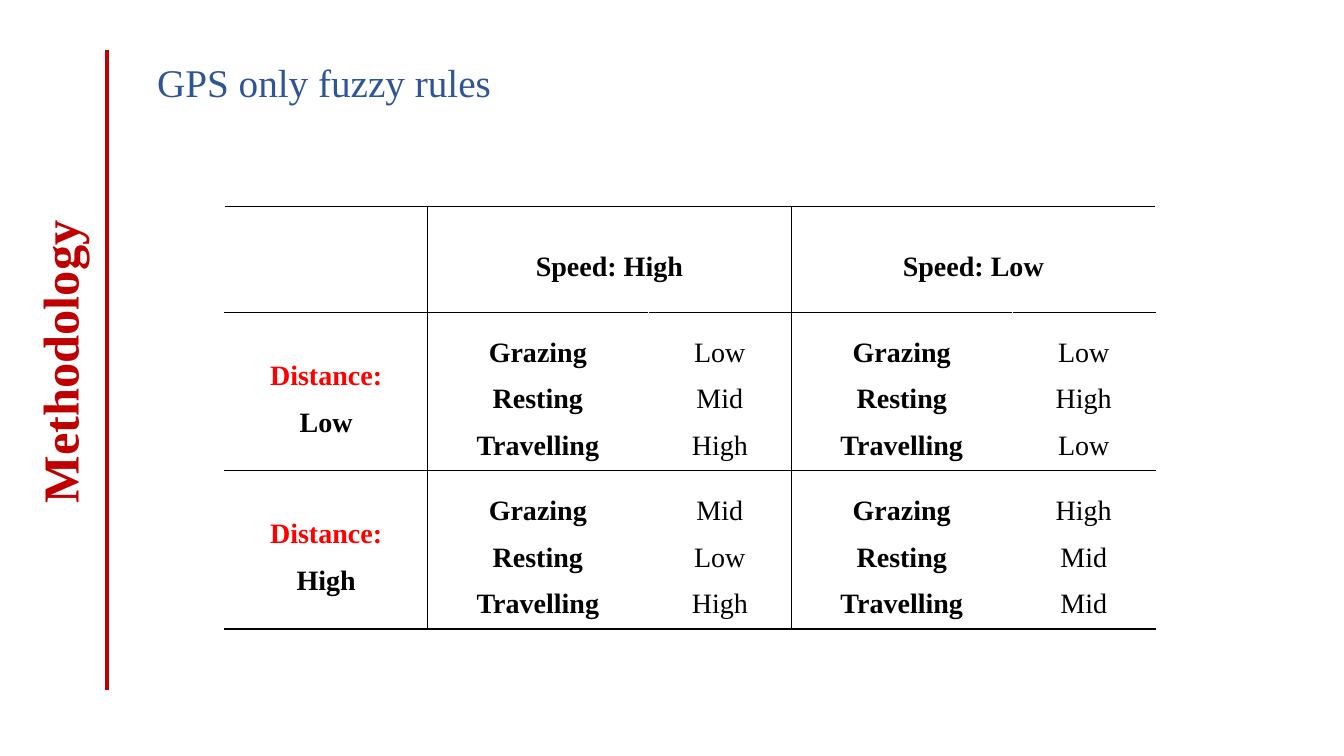
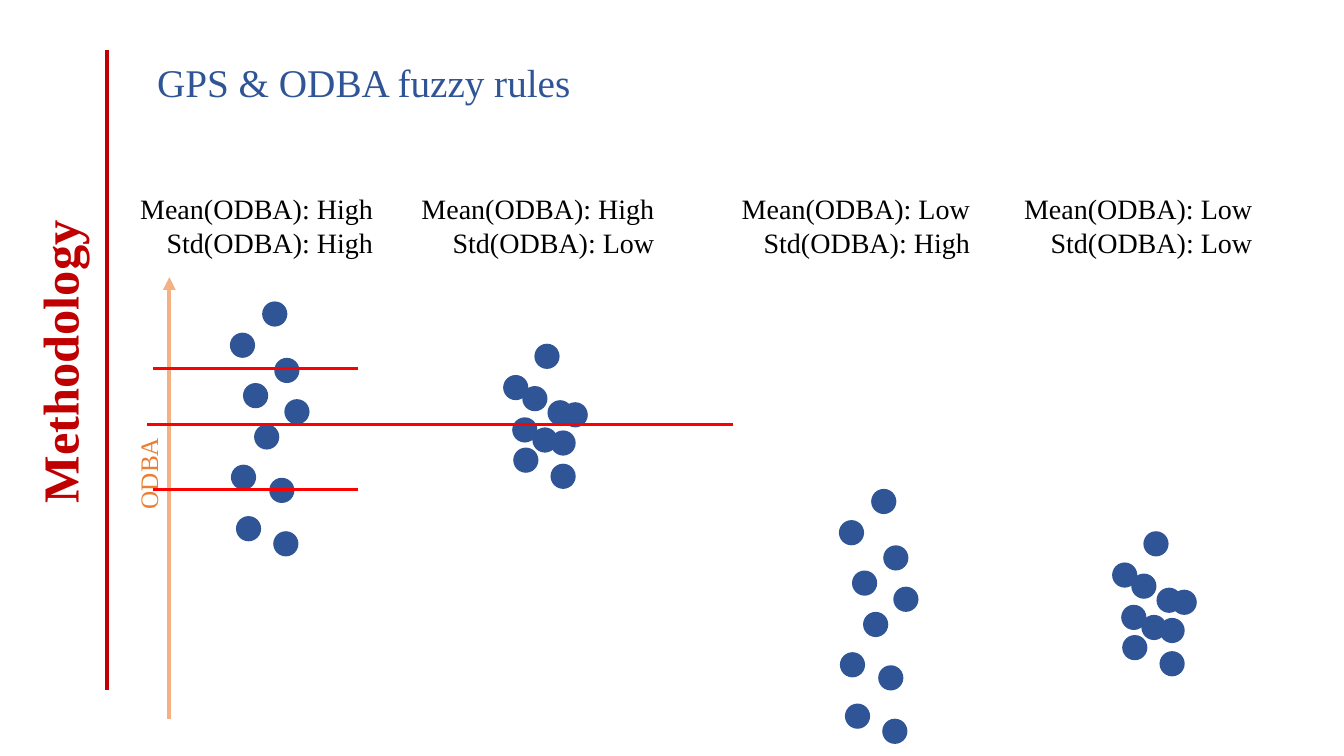
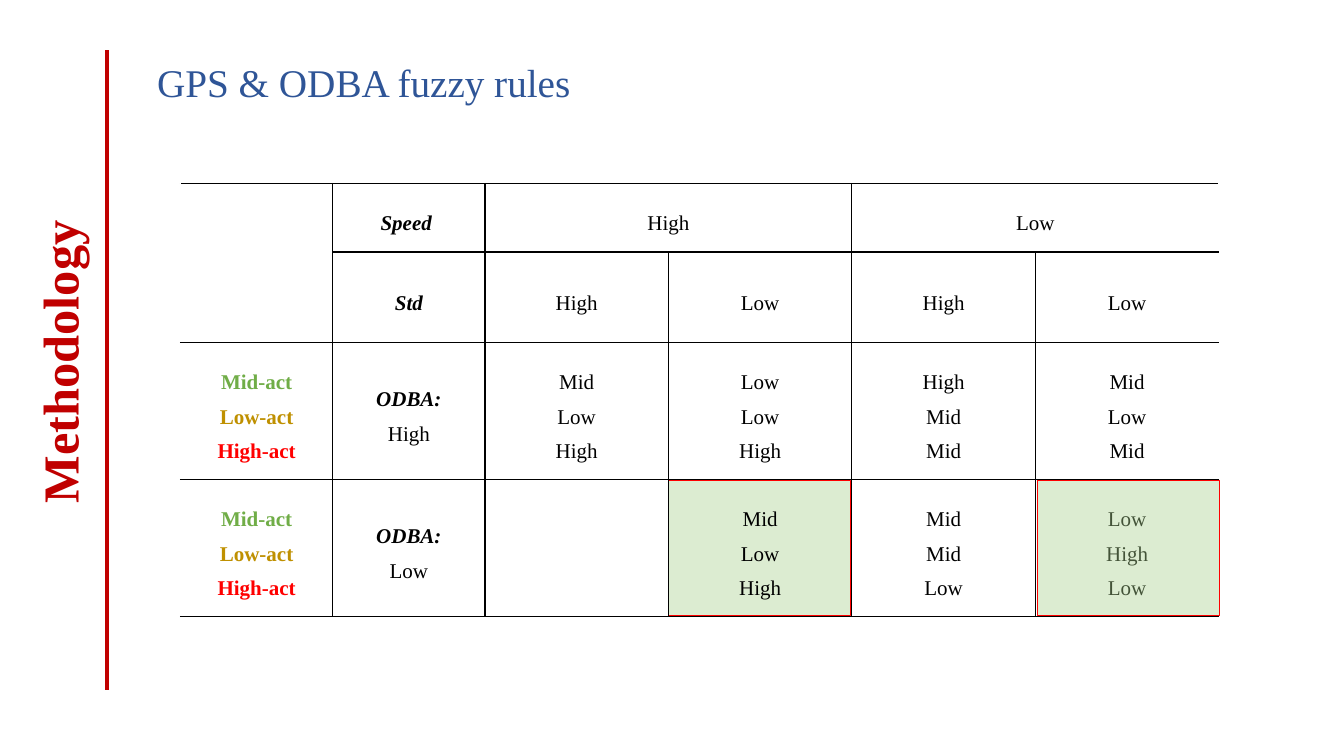
from lxml import etree
from pptx import Presentation
from pptx.dml.color import RGBColor
from pptx.enum.shapes import MSO_CONNECTOR, MSO_SHAPE
from pptx.enum.text import MSO_ANCHOR, PP_ALIGN
from pptx.oxml.ns import qn
from pptx.util import Inches, Pt

STRAIGHT = MSO_CONNECTOR.STRAIGHT
ELLIPSE = MSO_SHAPE.OVAL
RECTANGLE = MSO_SHAPE.RECTANGLE
MIDDLE = MSO_ANCHOR.MIDDLE
LEFT, CENTER, RIGHT = PP_ALIGN.LEFT, PP_ALIGN.CENTER, PP_ALIGN.RIGHT


class Theme:
    font = "Times New Roman"
    section_size = 36
    title_size = 28
    label_size = 20
    axis_size = 18
    small_size = 15
    crimson = "C00000"
    blue = "2F5597"
    red = "FF0000"
    black = "000000"
    white = "FFFFFF"
    axis = "F4B183"
    highlight = "A9D18E"
    styles = {
        "section": (crimson, True, False),
        "title": (blue, False, False),
        "plain": (black, False, False),
        "strong": (black, True, False),
        "label": (black, True, True),
        "axis": ("ED7D31", False, False),
        "mid": ("70AD47", True, False),
        "low": ("BF9000", True, False),
        "high": (red, True, False),
    }


def write(frame, text, styles, size, align=LEFT, spacing=None):
    for index, (line, style) in enumerate(zip(text.split("\n"), styles)):
        paragraph = frame.add_paragraph() if index else frame.paragraphs[0]
        paragraph.text = line
        paragraph.alignment = align
        paragraph.line_spacing = spacing
        color, bold, italic = Theme.styles[style]
        font = paragraph.font
        font.name, font.size = Theme.font, Pt(size)
        font.bold, font.italic = bold, italic
        font.color.rgb = RGBColor.from_string(color)


def add_line(slide, start, end, color, width, arrow=False):
    line = slide.shapes.add_connector(STRAIGHT, *map(Inches, start + end))
    line.line.color.rgb = RGBColor.from_string(color)
    line.line.width = Pt(width)
    properties = line.element.spPr
    if arrow:
        etree.SubElement(properties.find(qn("a:ln")), qn("a:tailEnd"), type="triangle")
    etree.SubElement(properties, qn("a:effectLst"))


deck = Presentation()
deck.slide_width, deck.slide_height = Inches(13.33), Inches(7.5)

for heading in ("GPS only fuzzy rules", "GPS & ODBA fuzzy rules", "GPS & ODBA fuzzy rules"):
    slide = deck.slides.add_slide(deck.slide_layouts[6])
    section = slide.shapes.add_textbox(Inches(-0.93), Inches(3.22), Inches(3.03), Inches(0.71))
    section.rotation = 270
    write(section.text_frame, "Methodology", ["section"], Theme.section_size)
    add_line(slide, (1.06, 0.5), (1.06, 6.85), Theme.crimson, 3)
    title = slide.shapes.add_textbox(Inches(1.46), Inches(0.5), Inches(1), Inches(1))
    title.text_frame.auto_size = None
    write(title.text_frame, heading, ["title"], Theme.title_size, spacing=1.07)

gps_slide, odba_slide, rules_slide = deck.slides

add_line(odba_slide, (1.68, 7.13), (1.68, 2.75), Theme.axis, 3, arrow=True)

wide_spread = [
    (2.41, 3.8), (2.52, 4.21), (2.29, 4.61), (2.67, 4.74), (2.72, 3.55),
    (2.28, 3.3), (2.6, 2.99), (2.34, 5.12), (2.71, 5.27), (2.82, 3.96),
]
tight_spread = [
    (5.18, 3.83), (5.28, 4.24), (5.08, 4.14), (5.46, 4.27), (5.43, 3.97),
    (4.99, 3.72), (5.3, 3.41), (5.09, 4.44), (5.46, 4.6), (5.58, 3.99),
]
dot_size = Inches(0.25)
for shift_x, shift_y in ((0, 0), (6.04, 1.86)):
    for x, y in wide_spread + tight_spread:
        dot = odba_slide.shapes.add_shape(
            ELLIPSE, Inches(x + shift_x), Inches(y + shift_y), dot_size, dot_size)
        dot.shadow.inherit = False
        dot.fill.solid()
        dot.fill.fore_color.rgb = RGBColor.from_string(Theme.blue)
        dot.line.fill.background()

for left, width, mean, deviation in (
    (1.27, 2.53, "High", "High"),
    (4.06, 2.53, "High", "Low"),
    (7.23, 2.49, "Low", "High"),
    (10.03, 2.49, "Low", "Low"),
):
    caption = odba_slide.shapes.add_textbox(
        Inches(left), Inches(1.85), Inches(width), Inches(0.77))
    write(caption.text_frame, f"Mean(ODBA): {mean}\nStd(ODBA): {deviation}",
          ["plain"] * 2, Theme.label_size, RIGHT)

axis_label = odba_slide.shapes.add_textbox(Inches(1.01), Inches(4.49), Inches(0.92), Inches(0.4))
axis_label.rotation = 270
write(axis_label.text_frame, "ODBA", ["axis"], Theme.axis_size)

for left, right, y in ((1.46, 7.27, 4.21), (1.52, 3.55, 3.66), (1.52, 3.55, 4.86)):
    add_line(odba_slide, (left, y), (right, y), Theme.red, 2.25)

behaviours = "Grazing\nResting\nTravelling"
activities = "Mid-act\nLow-act\nHigh-act"
plain, strong = ["plain"] * 3, ["strong"] * 3

gps_rules = {
    "slide": gps_slide,
    "at": (2.23, 2.05),
    "columns": [2.01, 2.19, 1.42, 2.19, 1.42],
    "rows": [1.05, 1.57, 1.57],
    "size": Theme.label_size,
    "merges": [(0, 1, 0, 2), (0, 3, 0, 4)],
    "ruled_edges": {1, 3},
    "column_styles": [["high", "strong"], strong, plain, strong, plain],
    "cells": [
        ["", "Speed: High", "", "Speed: Low", ""],
        ["Distance:\nLow", behaviours, "Low\nMid\nHigh", behaviours, "Low\nHigh\nLow"],
        ["Distance:\nHigh", behaviours, "Mid\nLow\nHigh", behaviours, "High\nMid\nMid"],
    ],
}
odba_rules = {
    "slide": rules_slide,
    "at": (1.79, 1.82),
    "columns": [1.51] * 2 + [1.82] * 4,
    "rows": [0.68, 0.9, 1.36, 1.36],
    "size": Theme.small_size,
    "merges": [(0, 0, 1, 0), (0, 2, 0, 3), (0, 4, 0, 5)],
    "ruled_edges": {1, 2, 3, 4, 5},
    "column_styles": [["mid", "low", "high"], ["label", "plain"]] + [plain] * 4,
    "cells": [
        ["", "Speed ", "High", "", "Low", ""],
        ["", "Std", "High", "Low", "High", "Low"],
        [activities, "ODBA:\nHigh", "Mid\nLow\nHigh", "Low\nLow\nHigh",
         "High\nMid\nMid", "Mid\nLow\nMid"],
        [activities, "ODBA:\nLow", "", "Mid\nLow\nHigh",
         "Mid\nMid\nLow", "Low\nHigh\nLow"],
    ],
}

for rules in (gps_rules, odba_rules):
    columns, rows = rules["columns"], rules["rows"]
    rules_frame = rules["slide"].shapes.add_table(
        len(rows), len(columns), *map(Inches, rules["at"]),
        Inches(sum(columns)), Inches(sum(rows)))
    grid = rules_frame.table
    grid.first_row = grid.horz_banding = False
    for column, width in zip(grid.columns, columns):
        column.width = Inches(width)
    for row, height in zip(grid.rows, rows):
        row.height = Inches(height)
    for top, left, bottom, right in rules["merges"]:
        grid.cell(top, left).merge(grid.cell(bottom, right))

    for r, texts in enumerate(rules["cells"]):
        for c, text in enumerate(texts):
            cell = grid.cell(r, c)
            if not cell.is_spanned:
                end = c + cell.span_width if cell.is_merge_origin else c + 1
                properties = cell._tc.get_or_add_tcPr()
                for side, ruled in (
                    ("L", c in rules["ruled_edges"]),
                    ("R", end in rules["ruled_edges"]),
                    ("T", True),
                    ("B", True),
                ):
                    border = etree.SubElement(properties, qn(f"a:ln{side}"), w=str(Pt(1)))
                    paint = etree.SubElement(border, qn("a:solidFill"))
                    etree.SubElement(paint, qn("a:srgbClr"),
                                     val=Theme.black if ruled else Theme.white)
            cell.fill.background()
            cell.vertical_anchor = MIDDLE
            cell.margin_left = cell.margin_right = Inches(0.08)
            cell.margin_top = cell.margin_bottom = 0
            if text:
                write(cell.text_frame, text, rules["column_styles"][c],
                      rules["size"], CENTER, 1.5)

highlights = []
for left in (6.63, 10.29):
    highlight = rules_slide.shapes.add_shape(
        RECTANGLE, Inches(left), Inches(4.77), Inches(1.81), Inches(1.34))
    highlight.shadow.inherit = False
    highlight.fill.solid()
    highlight.fill.fore_color.rgb = RGBColor.from_string(Theme.highlight)
    tint = highlight.element.spPr.find(qn("a:solidFill"))[0]
    etree.SubElement(tint, qn("a:alpha"), val="40000")
    highlight.line.color.rgb = RGBColor.from_string(Theme.red)
    highlight.line.width = Pt(0.75)
    highlights.append(highlight)
highlights[0].element.addnext(rules_frame.element)

deck.save("out.pptx")
